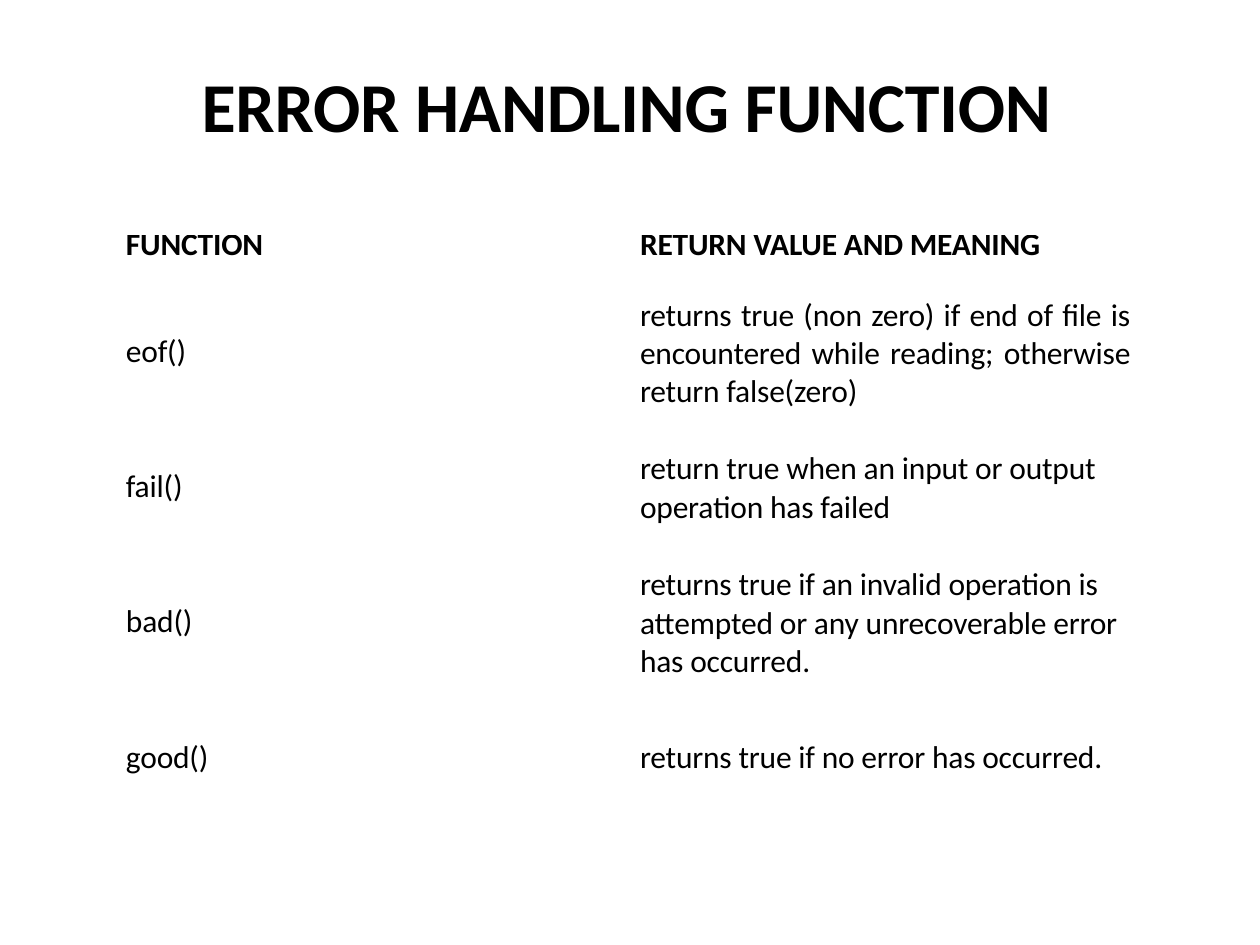
"""Build a slide with a table of stream error handling functions."""
from pptx import Presentation
from pptx import util as u
from pptx.dml.color import RGBColor
from pptx.enum import text

COLORS = {"ink": "000000"}
FONT = "Calibri"
COLUMNS = [2.73, 5.5]
ROWS = [0.4, 1.19, 0.92, 1.3, 0.51]
INDENTS = [0.14, 1.49]
RIGHT_MARGINS = [0, 0.12]
LEFT = text.PP_ALIGN.LEFT
JUSTIFY = text.PP_ALIGN.JUSTIFY

CONTENT = [
    [(0, 17.1, LEFT, ["FUNCTION"]),
     (0, 17.1, LEFT, ["RETURN VALUE AND MEANING"])],
    [(0.38, 1.0, LEFT, ["eof()"]),
     (0.09, 1.0, JUSTIFY, ["returns true (non zero) if end of file is encountered "
                           "while reading; otherwise return false(zero)"])],
    [(0.26, 1.0, LEFT, ["fail()"]),
     (0.12, 1.0, LEFT, ["return true when an input or output", "operation has failed"])],
    [(0.41, 1.0, LEFT, ["bad()"]),
     (0.12, 1.0, LEFT, ["returns true if an invalid operation is attempted or any "
                        "unrecoverable error has occurred."])],
    [(0.2, 21.5, LEFT, ["good()"]),
     (0.2, 21.5, LEFT, ["returns true if no error has occurred."])],
]


def add_span(para, words, size, bold):
    span = para.add_run()
    span.text = words
    span.font.name = FONT
    span.font.size = u.Pt(size)
    span.font.bold = bold
    span.font.color.rgb = RGBColor.from_string(COLORS["ink"])
    span.font._element.set("spc", "-10")


deck = Presentation()
deck.slide_width, deck.slide_height = u.Inches(10), u.Inches(7.5)
page = deck.slides.add_slide(deck.slide_layouts[6])

title = page.shapes.add_textbox(
    int(deck.slide_width * 0.16), u.Inches(0.49),
    int(deck.slide_width * 0.68), u.Inches(0.69))
frame = title.text_frame
frame.word_wrap = True
frame.margin_left = frame.margin_right = frame.margin_bottom = 0
frame.margin_top = u.Inches(0.01)
add_span(frame.paragraphs[0], "ERROR HANDLING FUNCTION", 40, True)

table = page.shapes.add_table(
    len(ROWS), len(COLUMNS), u.Inches(0.86), u.Inches(1.86),
    u.Inches(sum(COLUMNS)), u.Inches(sum(ROWS))).table
table.first_row = table.horz_banding = False
for column, width in zip(table.columns, COLUMNS):
    column.width = u.Inches(width)

for row_index, (height, entries) in enumerate(zip(ROWS, CONTENT)):
    table.rows[row_index].height = u.Inches(height)
    for column_index, (top, spacing, alignment, lines) in enumerate(entries):
        cell = table.cell(row_index, column_index)
        cell.fill.background()
        cell.margin_left = u.Inches(INDENTS[column_index])
        cell.margin_right = u.Inches(RIGHT_MARGINS[column_index])
        cell.margin_top, cell.margin_bottom = u.Inches(top), 0
        for line_index, words in enumerate(lines):
            body = cell.text_frame
            para = body.add_paragraph() if line_index else body.paragraphs[0]
            para.alignment = alignment
            para.line_spacing = u.Pt(spacing) if spacing > 1 else spacing
            add_span(para, words, 18, row_index == 0)

deck.save("out.pptx")
